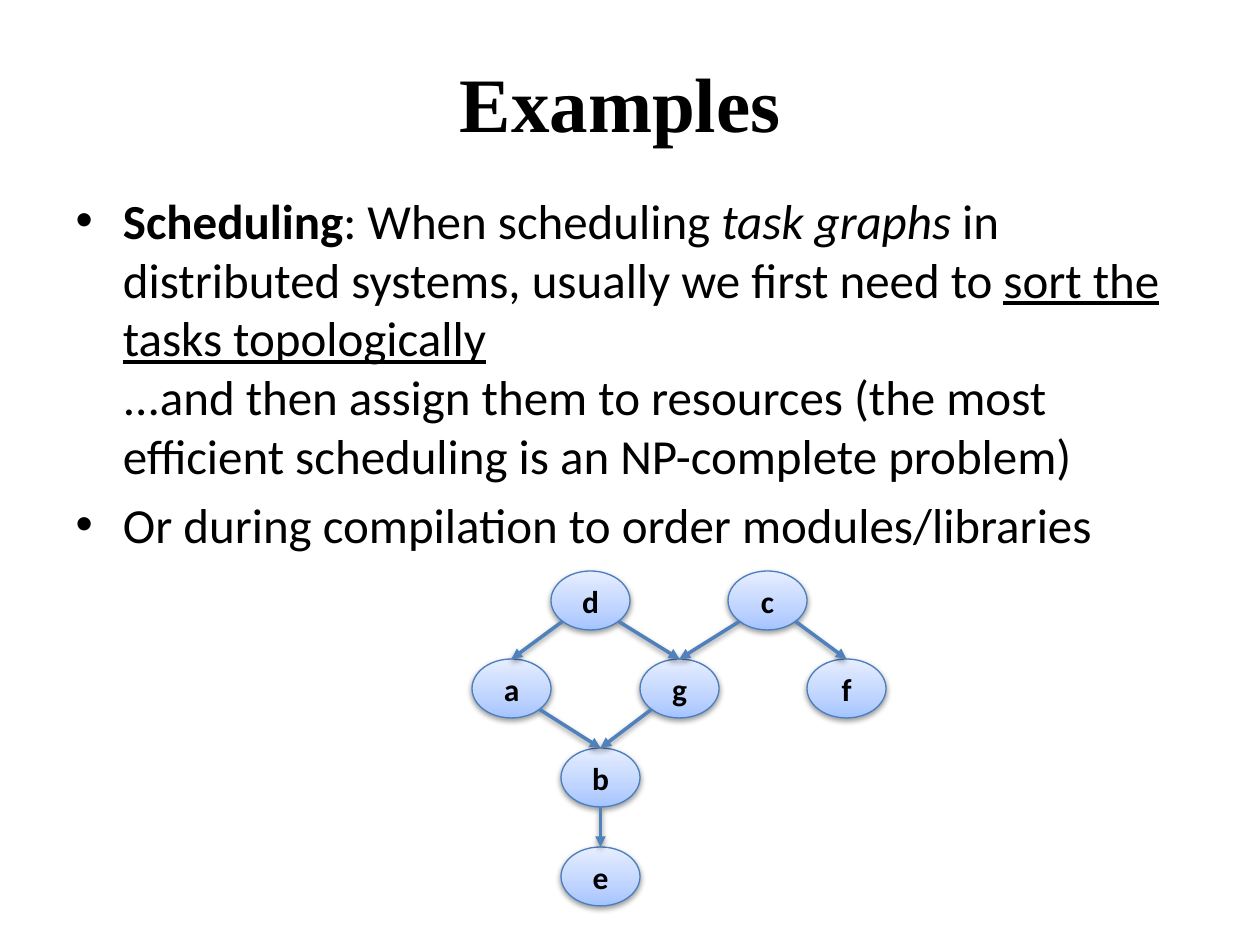
"""Build a slide on topological sorting with a small task graph."""
from dataclasses import dataclass
from math import sqrt

from pptx import Presentation
from pptx.dml.color import RGBColor
from pptx.enum.shapes import MSO_CONNECTOR, MSO_SHAPE
from pptx.enum.text import MSO_ANCHOR, MSO_AUTO_SIZE, PP_ALIGN
from pptx.oxml import parse_xml
from pptx.oxml.ns import nsdecls, qn
from pptx.util import Emu, Inches, Pt

ELLIPSE = MSO_SHAPE.OVAL
STRAIGHT = MSO_CONNECTOR.STRAIGHT
CENTER = PP_ALIGN.CENTER
MIDDLE = MSO_ANCHOR.MIDDLE
NO_FIT = MSO_AUTO_SIZE.NONE
TOP_SITE = 0
NODE_W, NODE_H = 79, 59


@dataclass(frozen=True)
class Theme:
    title_font: str = "Times New Roman"
    body_font: str = "Calibri"
    title_size: int = 44
    body_size: int = 28
    node_size: int = 18
    text: str = "000000"
    outline: str = "4B7EBC"
    arrow: str = "4F81BD"
    gradient: tuple = ((0, "A4C4FF"), (35, "BFD4FF"), (100, "E6EEFF"))


def px(n):
    return Emu(round(n * 914400 / 126))


class Deck:
    def __init__(self, prs, theme):
        self.theme = theme
        self.s = prs.slides.add_slide(prs.slide_layouts[1])

    def font(self, p, name, size, bold=None):
        p.font.name, p.font.size, p.font.bold = name, Pt(size), bold
        p.font.color.rgb = RGBColor.from_string(self.theme.text)

    def place(self, sp, x, y, w, h):
        sp.left, sp.top, sp.width, sp.height = map(px, (x, y, w, h))
        sp.text_frame.auto_size = NO_FIT
        return sp.text_frame

    def shadow(self, sp):
        sp._element.spPr.append(parse_xml(
            f'<a:effectLst {nsdecls("a")}>'
            '<a:outerShdw blurRad="40000" dist="20000" dir="5400000" rotWithShape="0">'
            '<a:srgbClr val="000000"><a:alpha val="38000"/></a:srgbClr>'
            '</a:outerShdw></a:effectLst>'))

    def title(self, text, *box):
        tf = self.place(self.s.shapes.title, *box)
        tf.vertical_anchor = MIDDLE
        p = tf.paragraphs[0]
        p.text, p.alignment = text, CENTER
        self.font(p, self.theme.title_font, self.theme.title_size, True)

    def bullets(self, items, *box):
        tf = self.place(self.s.placeholders[1], *box)
        for i, runs in enumerate(items):
            p = tf.add_paragraph() if i else tf.paragraphs[0]
            p.space_before = Pt(5.6 if i else 0)
            self.font(p, self.theme.body_font, self.theme.body_size)
            for text, style in runs:
                if text == "\n":
                    p.add_line_break()
                    continue
                r = p.add_run()
                r.text = text
                if style:
                    setattr(r.font, style, True)

    def node(self, text, x, y):
        sp = self.s.shapes.add_shape(ELLIPSE, px(x), px(y), px(NODE_W), px(NODE_H))
        sp.fill.gradient()
        sp.fill.gradient_angle = 90
        stops = sp._element.spPr.find(qn("a:gradFill")).find(qn("a:gsLst"))
        stops.clear()
        for pos, color in self.theme.gradient:
            stops.append(parse_xml(
                f'<a:gs {nsdecls("a")} pos="{pos * 1000}"><a:srgbClr val="{color}"/></a:gs>'))
        sp.line.color.rgb = RGBColor.from_string(self.theme.outline)
        sp.line.width = Pt(0.75)
        self.shadow(sp)
        tf = sp.text_frame
        tf.vertical_anchor = MIDDLE
        p = tf.paragraphs[0]
        p.text, p.alignment = text, CENTER
        self.font(p, self.theme.body_font, self.theme.node_size, True)
        return sp

    def arrow(self, start, end):
        """Run from the lower edge of start, on the side facing end, to the top of end."""
        side = (end.left > start.left) - (end.left < start.left)
        reach = 1 / sqrt(2) if side else 1
        x = start.left + round(start.width / 2 * (1 + side * reach))
        y = start.top + round(start.height / 2 * (1 + reach))
        c = self.s.shapes.add_connector(STRAIGHT, x, y, x, y)
        c.end_connect(end, TOP_SITE)
        c.line.color.rgb = RGBColor.from_string(self.theme.arrow)
        c.line.width = Pt(2)
        c.line._get_or_add_ln().append(
            parse_xml(f'<a:tailEnd {nsdecls("a")} type="triangle"/>'))
        self.shadow(c)


def main():
    prs = Presentation()
    prs.slide_width, prs.slide_height = Inches(10), Inches(7.5)
    deck = Deck(prs, Theme())
    deck.title("Examples ", 21, 23, 1218, 158)
    deck.bullets([
        [("Scheduling", "bold"), (": When scheduling ", None), ("task graphs", "italic"),
         (" in distributed systems, usually we first need to ", None),
         ("sort the tasks topologically", "underline"), (" ", None), ("\n", None),
         ("...and then assign them to resources (the most efficient scheduling "
          "is an NP-complete problem)", None)],
        [("Or during compilation to order modules/libraries", None)],
    ], 63, 184, 1134, 624)

    places = {"a": (472, 659), "d": (551, 571), "c": (728, 571), "g": (640, 659),
              "f": (807, 659), "b": (561, 748), "e": (561, 847)}
    nodes = {name: deck.node(name, *at) for name, at in places.items()}
    for start, end in ("da", "dg", "cg", "cf", "ab", "gb", "be"):
        deck.arrow(nodes[start], nodes[end])
    prs.save("out.pptx")


if __name__ == "__main__":
    main()
